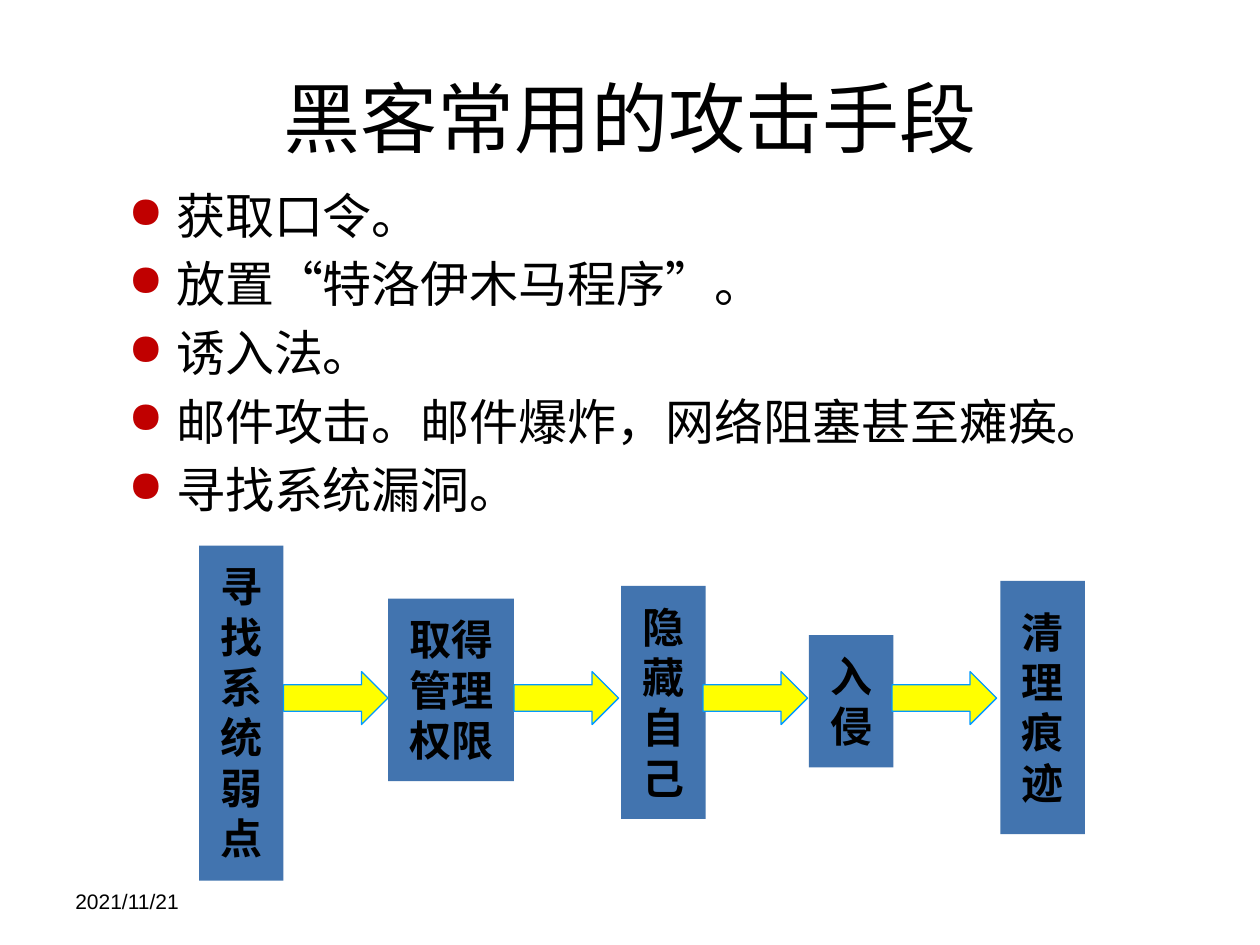
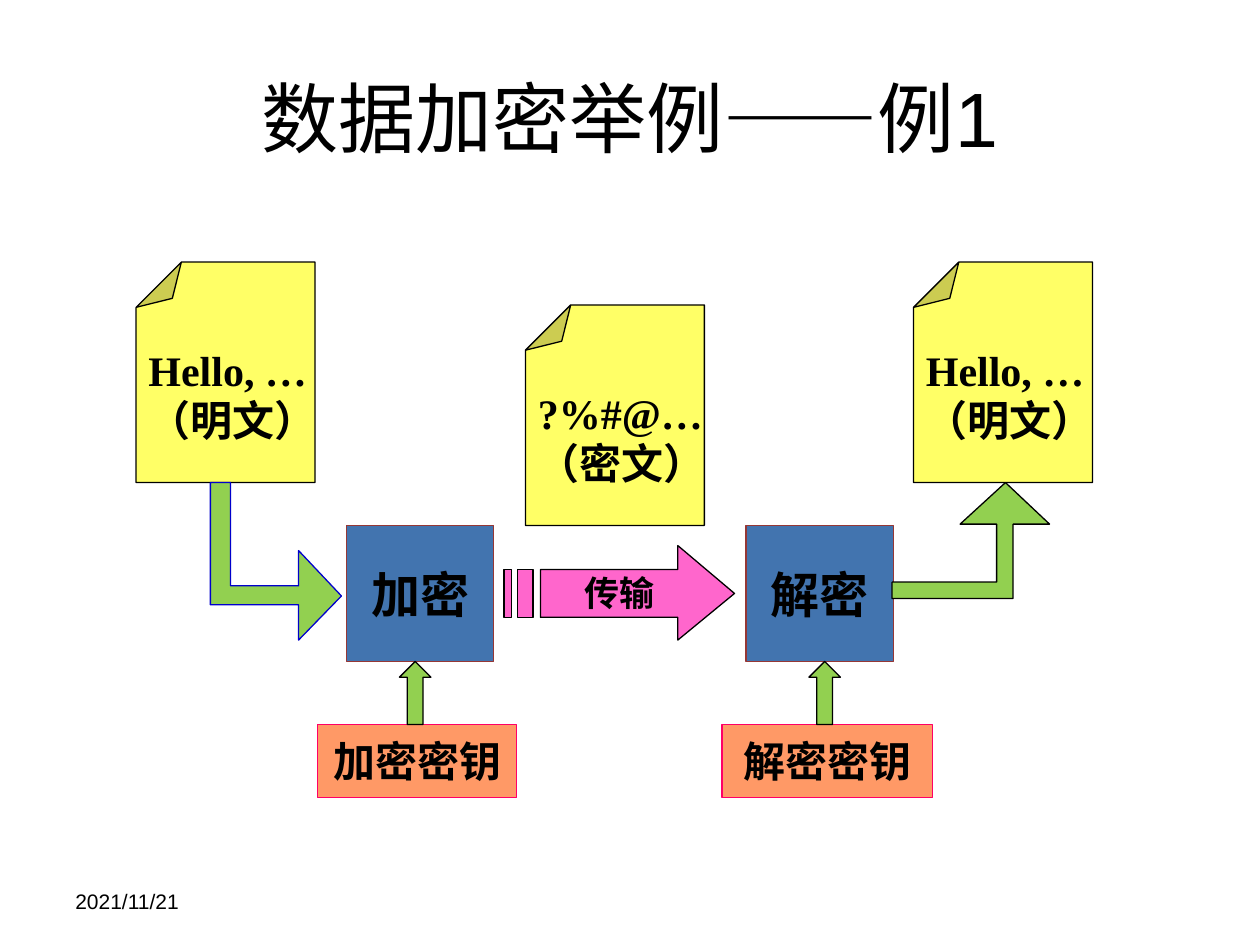
from lxml import etree
from pptx import Presentation
from pptx.dml.color import RGBColor
from pptx.enum import shapes, text
from pptx.oxml import ns
from pptx.util import Inches, Pt

BLACK = RGBColor(0, 0, 0)
BLUE = RGBColor(0x42, 0x74, 0xAF)
YELLOW = RGBColor(0xFF, 0xFF, 0)
SKY = RGBColor(0, 0x99, 0xFF)
PAPER = RGBColor(0xFF, 0xFF, 0x66)
BROWN = RGBColor(0x95, 0x37, 0x35)
GREEN = RGBColor(0x92, 0xD0, 0x50)
NAVY = RGBColor(0, 0, 0xCC)
ORANGE = RGBColor(0xFF, 0x99, 0x66)
ROSE = RGBColor(0xFF, 0, 0x66)
PINK = RGBColor(0xFF, 0x66, 0xCC)
RED = RGBColor(0xC0, 0, 0)

ARIAL, BODY, TIMES = "Arial", "Calibri", "Times New Roman"
KIND = shapes.MSO_SHAPE
MID = text.MSO_ANCHOR.MIDDLE
TOP = text.MSO_ANCHOR.TOP
LEFT = text.PP_ALIGN.LEFT
CENTER = text.PP_ALIGN.CENTER


def write(shape, lines, size, face=TIMES, bold=True, align=CENTER,
          anchor=MID, wrap=False):
    """Fill a shape with paragraphs of one style."""
    frame = shape.text_frame
    frame.word_wrap = wrap
    frame.vertical_anchor = anchor
    frame.text = "\n".join(lines)
    for para in frame.paragraphs:
        para.alignment = align
        para.font.size = Pt(size)
        para.font.name = face
        para.font.bold = bold
        para.font.color.rgb = BLACK
    return frame


def paint(shape, fill, line=None):
    shape.shadow.inherit = False
    shape.fill.solid()
    shape.fill.fore_color.rgb = fill
    if line is None:
        shape.line.fill.background()
    else:
        shape.line.color.rgb = line
        shape.line.width = Pt(0.75)
    return shape


def label(slide, box, lines, size, face, **style):
    area = slide.shapes.add_textbox(*map(Inches, box))
    return write(area, lines, size, face, bold=False, wrap=True, **style)


def block(slide, kind, box, fill, line=None):
    return paint(slide.shapes.add_shape(kind, *map(Inches, box)), fill, line)


def outline(slide, loops, fill, line):
    """Draw closed loops given as points in inches."""
    loops = [[(Inches(x), Inches(y)) for x, y in loop] for loop in loops]
    pen = slide.shapes.build_freeform(*loops[0][0])
    for i, loop in enumerate(loops):
        if i:
            pen.move_to(*loop[0])
        pen.add_line_segments(loop[1:], close=True)
    return paint(pen.convert_to_shape(), fill, line)


def node(tag, **values):
    return etree.Element(ns.qn(tag), values)


def bullet(para):
    props = para._p.get_or_add_pPr()
    props.set("marL", str(Inches(0.38)))
    props.set("indent", str(-Inches(0.38)))
    color = node("a:buClr")
    color.append(node("a:srgbClr", val=str(RED)))
    parts = color, node("a:buSzPct", val="90000"), node("a:buChar", char="●")
    for i, part in enumerate(parts):
        props.insert(i, part)


def listing(slide, box, lines):
    frame = label(slide, box, lines, 28, BODY, align=LEFT, anchor=TOP)
    for i, para in enumerate(frame.paragraphs):
        bullet(para)
        if i:
            para.space_before = Pt(5.6)


def page(deck, title):
    """Start a slide with the shared title and date."""
    slide = deck.slides.add_slide(deck.slide_layouts[6])
    label(slide, (0.5, 6.95, 2.33, 0.4), ["2021/11/21"], 12, ARIAL, align=LEFT)
    label(slide, (0.5, 0.3, 9, 1.25), [title], 44, ARIAL)
    return slide


def step(slide, box, words, face=BODY, pad=0.12):
    shape = block(slide, KIND.RECTANGLE, box, BLUE)
    frame = write(shape, [words], 24, face, anchor=TOP, wrap=True)
    frame.margin_top = frame.margin_bottom = Inches(pad)


def sheet(slide, x, y, lines):
    """Paper with its fold at the top left and upright text."""
    shape = block(slide, KIND.FOLDED_CORNER, (x, y, 1.42, 1.75), PAPER, BLACK)
    guides = next(shape._element.iter(ns.qn("a:avLst")))
    guides.append(node("a:gd", name="adj", fmla="val 25300"))
    shape.rotation = 180
    frame = write(shape, lines, 24, align=LEFT)
    frame._txBody.bodyPr.set("rot", "10800000")


def cipher(slide, x, words, key, left, width, stem):
    """Processing box with its key below and an arrow between."""
    unit = block(slide, KIND.RECTANGLE, (x, 4.17, 1.17, 1.08), BLUE, BROWN)
    write(unit, [words], 28)
    base = block(slide, KIND.RECTANGLE, (left, 5.75, width, 0.58), ORANGE, ROSE)
    write(base, [key], 24)
    block(slide, KIND.UP_ARROW, (stem, 5.25, 0.25, 0.5), GREEN, BLACK)


def bar(left, right):
    return [(left, 4.52), (left, 4.9), (right, 4.9), (right, 4.52)]


def attacks(deck):
    slide = page(deck, "黑客常用的攻击手段")
    listing(slide, (0.92, 1.42, 8.42, 2.83), [
        "获取口令。",
        "放置“特洛伊木马程序”。",
        "诱入法。",
        "邮件攻击。邮件爆炸，网络阻塞甚至瘫痪。",
        "寻找系统漏洞。",
    ])
    # Attack steps
    step(slide, (1.58, 4.33, 0.67, 2.66), "寻找系统弱点", TIMES)
    step(slide, (3.08, 4.75, 1, 1.45), "取得管理权限")
    step(slide, (4.93, 4.65, 0.67, 1.85), "隐藏自己")
    step(slide, (6.42, 5.04, 0.67, 1.05), "入侵")
    step(slide, (7.94, 4.61, 0.67, 2.01), "清理痕迹", pad=0.2)
    for x in (2.25, 4.08, 5.58, 7.08):
        block(slide, KIND.RIGHT_ARROW, (x, 5.33, 0.83, 0.42), YELLOW, SKY)


def secrets(deck):
    slide = page(deck, "数据加密举例——例1")
    # Documents
    plain = ["Hello, …", "（明文）"]
    sheet(slide, 1.08, 2.08, plain)
    sheet(slide, 7.25, 2.08, plain)
    sheet(slide, 4.17, 2.42, ["?%#@…", "（密文）"])
    # Encryption and decryption
    cipher(slide, 2.75, "加密", "加密密钥", 2.52, 1.58, 3.17)
    cipher(slide, 5.92, "解密", "解密密钥", 5.73, 1.67, 6.42)
    # Bent arrows
    outline(slide, [[(2.71, 4.73), (2.37, 4.37), (2.37, 4.65), (1.83, 4.65),
                     (1.83, 3.83), (1.67, 3.83), (1.67, 4.8), (2.37, 4.8),
                     (2.37, 5.08)]], GREEN, NAVY)
    outline(slide, [[(7.98, 3.83), (7.62, 4.16), (7.91, 4.16), (7.91, 4.62),
                     (7.08, 4.62), (7.08, 4.75), (8.04, 4.75), (8.04, 4.16),
                     (8.33, 4.16)]], GREEN, BLACK)
    # Striped transfer arrow
    head = [(5.38, 4.33), (5.38, 4.52), (4.29, 4.52), (4.29, 4.9),
            (5.38, 4.9), (5.38, 5.08), (5.83, 4.71)]
    send = outline(slide, [head, bar(4.11, 4.23), bar(4, 4.06)], PINK, BLACK)
    write(send, ["传输"], 20)


def main():
    deck = Presentation()
    deck.slide_width, deck.slide_height = Inches(10), Inches(7.5)
    attacks(deck)
    secrets(deck)
    deck.save("out.pptx")


if __name__ == "__main__":
    main()
